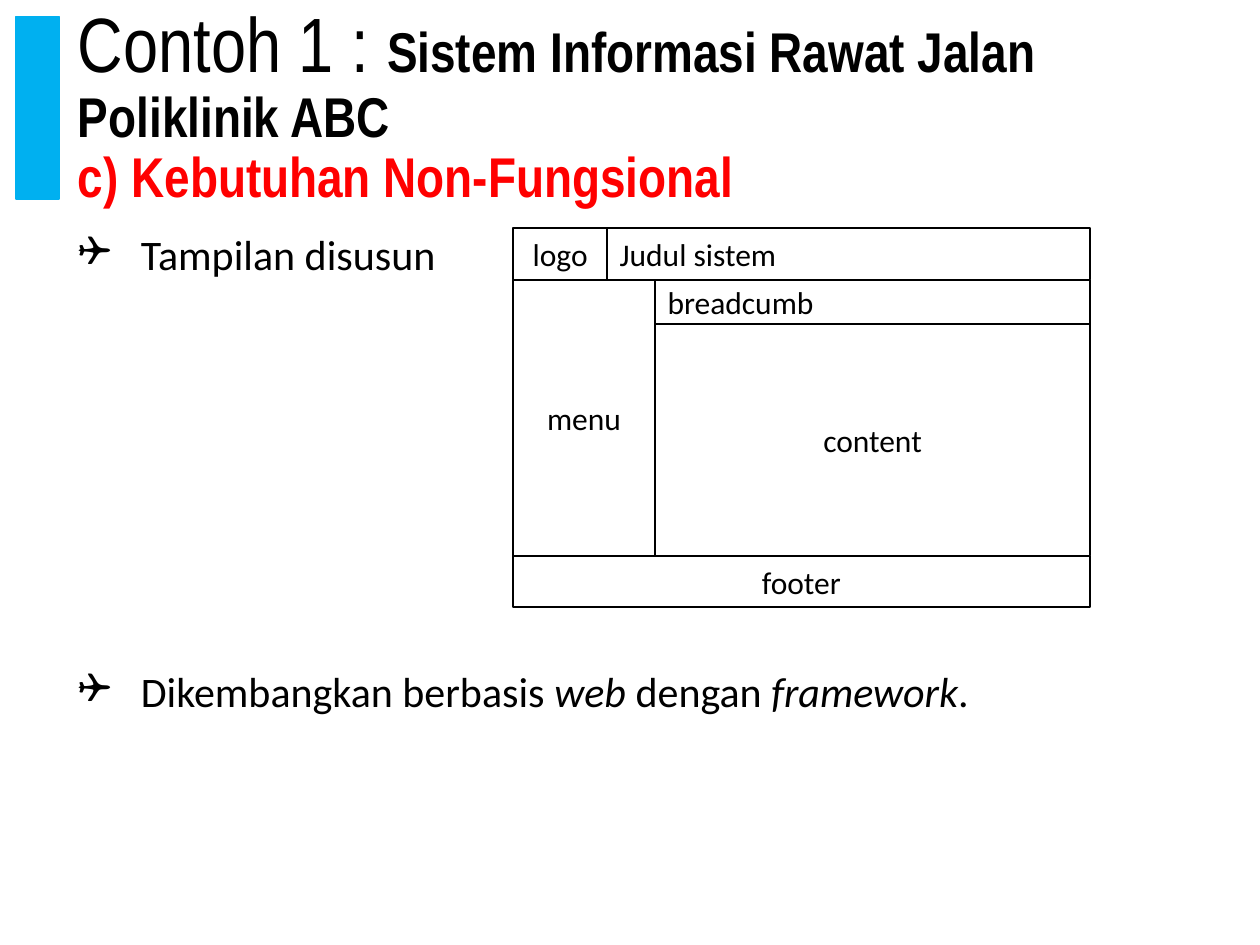
import pptx
import pptx.util
import pptx.dml.color
import pptx.enum.shapes
import pptx.enum.text
import pptx.oxml
import pptx.oxml.ns
from dataclasses import dataclass

Inches = pptx.util.Inches
Pt = pptx.util.Pt
Align = pptx.enum.text.PP_ALIGN
Anchor = pptx.enum.text.MSO_ANCHOR


@dataclass
class Theme:
    accent: str = "00B0F0"
    ink: str = "000000"
    alert: str = "FF0000"
    paper: str = "FFFFFF"
    title_font: str = "Arial Narrow"
    body_font: str = "Calibri"
    title_size: int = 44
    subtitle_size: int = 32
    body_size: int = 24
    label_size: int = 18


theme = Theme()


def style(span, font, size, color, bold=False, italic=False):
    span.font.name = font
    span.font.size = Pt(size)
    span.font.color.rgb = pptx.dml.color.RGBColor.from_string(color)
    span.font.bold = bold
    span.font.italic = italic


def add_block(left, top, width, height, fill, line):
    block = page.shapes.add_shape(
        pptx.enum.shapes.MSO_SHAPE.RECTANGLE,
        Inches(left), Inches(top), Inches(width), Inches(height))
    block.shadow.inherit = False
    block.fill.solid()
    block.fill.fore_color.rgb = pptx.dml.color.RGBColor.from_string(fill)
    block.line.color.rgb = pptx.dml.color.RGBColor.from_string(line)
    block.line.width = Pt(1)
    return block


deck = pptx.Presentation()
deck.slide_width = Inches(10)
deck.slide_height = Inches(7.5)
page = deck.slides.add_slide(deck.slide_layouts[6])

add_block(0.13, 0.13, 0.34, 1.45, theme.accent, theme.accent)

title = page.shapes.add_textbox(Inches(0.52), Inches(0.13), Inches(9.1), Inches(1.45))
title.text_frame.word_wrap = True
title.text_frame.vertical_anchor = Anchor.MIDDLE
para = title.text_frame.paragraphs[0]
para.line_spacing = 0.9
para.text = "Contoh 1 : "
style(para.runs[0], theme.title_font, theme.title_size, theme.ink)
span = para.add_run()
span.text = "Sistem Informasi Rawat Jalan Poliklinik ABC"
style(span, theme.title_font, theme.subtitle_size, theme.ink, bold=True)
para.add_line_break()
span = para.add_run()
span.text = "c) Kebutuhan Non-Fungsional"
style(span, theme.title_font, theme.subtitle_size, theme.alert, bold=True)

requirements = [
    (0, [("Tampilan disusun", False)]),
    (224, [("Dikembangkan berbasis ", False), ("web", True), (" dengan ", False),
           ("framework", True), (".", False)]),
]
body = page.shapes.add_textbox(Inches(0.52), Inches(1.81), Inches(9.1), Inches(5.31))
frame = body.text_frame
frame.word_wrap = True
for index, (space, parts) in enumerate(requirements):
    para = frame.add_paragraph() if index else frame.paragraphs[0]
    para.alignment = Align.JUSTIFY
    para.line_spacing = 0.9
    para.space_before = Pt(space)
    for words, italic in parts:
        span = para.add_run()
        span.text = words
        style(span, theme.body_font, theme.body_size, theme.ink, italic=italic)
    settings = para._p.get_or_add_pPr()
    settings.set("marL", str(Inches(0.5)))
    settings.set("indent", str(Inches(-0.5)))
    namespace = pptx.oxml.ns.nsdecls("a")
    settings.append(pptx.oxml.parse_xml(f'<a:buFont {namespace} typeface="Wingdings"/>'))
    settings.append(pptx.oxml.parse_xml(f'<a:buChar {namespace} char="❑"/>'))

left, logo_edge, menu_edge, right = 4.07, 4.82, 5.2, 8.65
top, header_edge, trail_edge, footer_edge, bottom = 1.81, 2.22, 2.57, 4.41, 4.82
regions = [
    ("logo", left, top, logo_edge, header_edge, Align.CENTER),
    ("Judul sistem", logo_edge, top, right, header_edge, Align.LEFT),
    ("menu", left, header_edge, menu_edge, footer_edge, Align.CENTER),
    ("content", menu_edge, trail_edge, right, footer_edge, Align.CENTER),
    ("footer", left, footer_edge, right, bottom, Align.CENTER),
    ("breadcumb", menu_edge, header_edge, right, trail_edge, Align.LEFT),
]
for label, start, upper, end, lower, alignment in regions:
    box = add_block(start, upper, end - start, lower - upper, theme.paper, theme.ink)
    box.text_frame.text = label
    box.text_frame.vertical_anchor = Anchor.MIDDLE
    para = box.text_frame.paragraphs[0]
    para.alignment = alignment
    style(para.runs[0], theme.body_font, theme.label_size, theme.ink)

deck.save("out.pptx")
